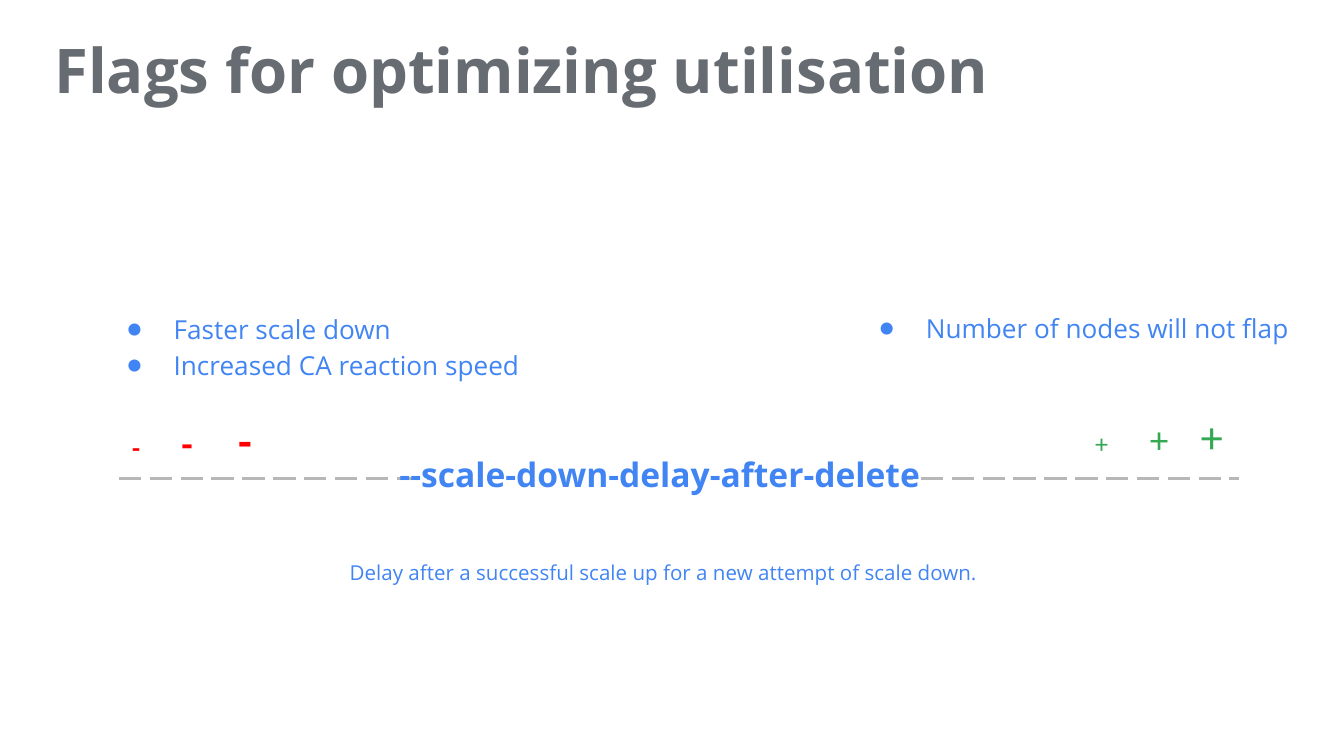
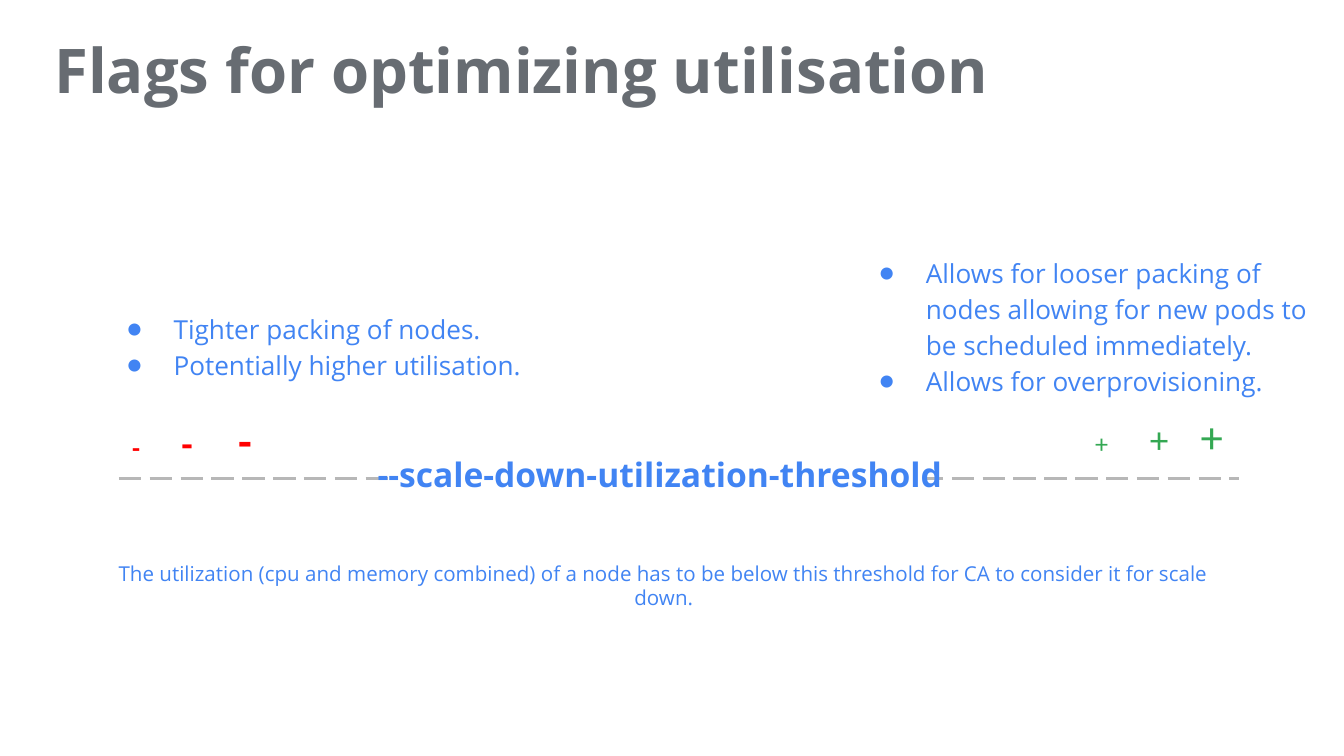
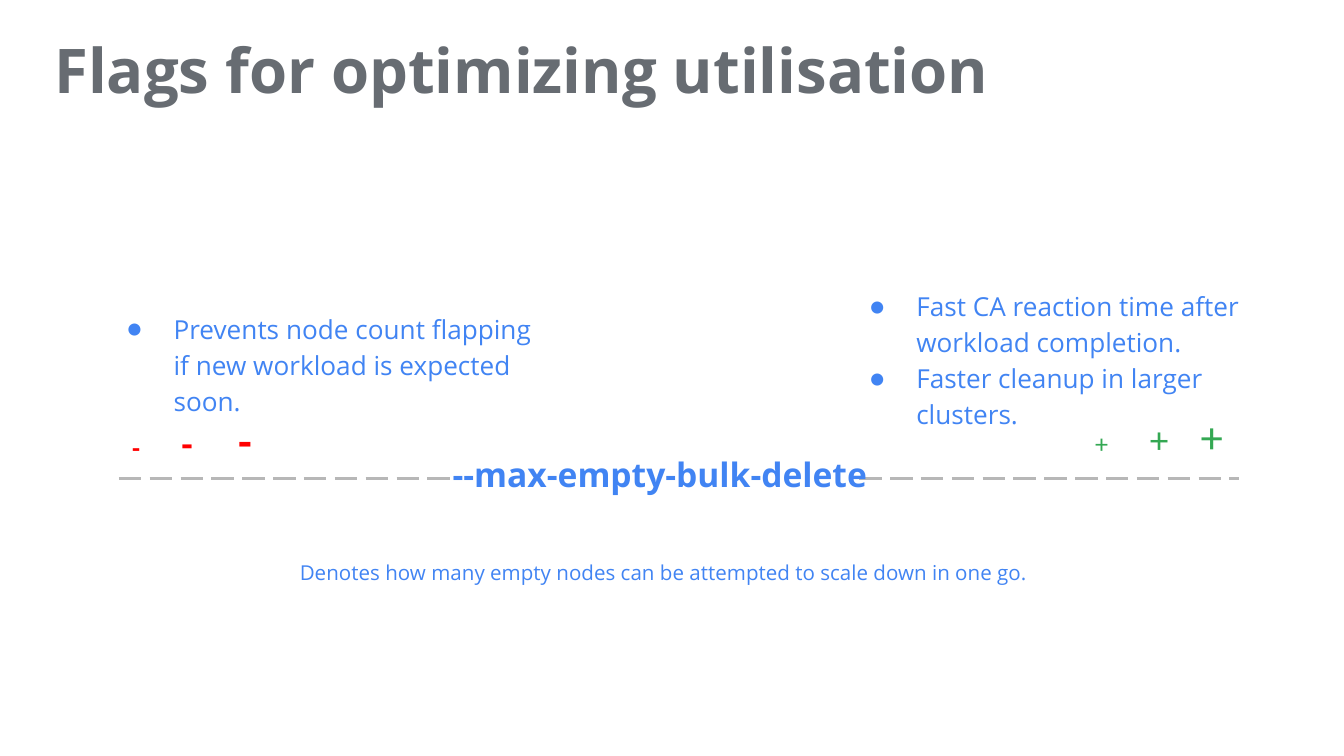
from lxml.etree import SubElement
from pptx import Presentation
from pptx.dml.color import RGBColor
from pptx.enum.dml import MSO_LINE
from pptx.enum.shapes import MSO_CONNECTOR, MSO_SHAPE
from pptx.enum.text import MSO_ANCHOR, PP_ALIGN
from pptx.oxml.ns import qn
from pptx.util import Pt

BLUE = "4184F3"
GRAY = "676C72"
DASH_GRAY = "B7B7B7"
RED = "FF0000"
GREEN = "34A853"
WHITE = "FFFFFF"
BODY_FONT = "Open Sans"
MARK_FONT = "Calibri"
MARK_SIZES = [14, 20, 24]
AXIS_LEFT, AXIS_RIGHT, AXIS_TOP = 63.7, 664, 256.3

flags = [
    {
        "name": "--scale-down-delay-after-delete",
        "gap": (231.1, 253.4),
        "low": ["Faster scale down", "Increased CA reaction speed"],
        "high": ["Number of nodes will not flap"],
        "high_at": (452.9, 157.6),
        "meaning": "Delay after a successful scale up for a new attempt of scale down.",
    },
    {
        "name": "--scale-down-utilization-threshold",
        "gap": (211, 285.1),
        "low": ["Tighter packing of nodes.", "Potentially higher utilisation."],
        "high": [
            "Allows for looser packing of nodes allowing for new pods to be scheduled immediately.",
            "Allows for overprovisioning.",
        ],
        "high_at": (452.9, 128.1),
        "meaning": "The utilization (cpu and memory combined) of a node has to be below "
                   "this threshold for CA to consider it for scale down.",
    },
    {
        "name": "--max-empty-bulk-delete",
        "gap": (245.5, 213.1),
        "low": ["Prevents node count flapping if new workload is expected soon."],
        "high": [
            "Fast CA reaction time after workload completion.",
            "Faster cleanup in larger clusters.",
        ],
        "high_at": (447.8, 146),
        "meaning": "Denotes how many empty nodes can be attempted to scale down in one go.",
    },
]


def color(value):
    return RGBColor.from_string(value)


def add_text(slide, box, paragraphs, sizes, fill, font=BODY_FONT, bold=False,
             align=PP_ALIGN.LEFT, spacing=1.0, inset=(7.2, 7.2),
             anchor=MSO_ANCHOR.TOP, bullets=False, tabs=()):
    shape = slide.shapes.add_textbox(*[Pt(length) for length in box])
    frame = shape.text_frame
    frame.word_wrap = True
    frame.vertical_anchor = anchor
    frame.margin_left = frame.margin_right = Pt(inset[0])
    frame.margin_top = frame.margin_bottom = Pt(inset[1])
    for index, texts in enumerate(paragraphs):
        paragraph = frame.paragraphs[0] if index == 0 else frame.add_paragraph()
        paragraph.alignment = align
        paragraph.line_spacing = spacing
        properties = paragraph._p.get_or_add_pPr()
        if bullets:
            properties.set("marL", str(Pt(36)))
            properties.set("indent", str(Pt(-25.2)))
            bullet_color = SubElement(properties, qn("a:buClr"))
            SubElement(bullet_color, qn("a:srgbClr"), val=fill)
            SubElement(properties, qn("a:buFont"), typeface=MARK_FONT)
            SubElement(properties, qn("a:buChar"), char="●")
        if tabs:
            tab_list = SubElement(properties, qn("a:tabLst"))
            for position in tabs:
                SubElement(tab_list, qn("a:tab"), pos=str(Pt(position)), algn="l")
        for text, size in zip(texts, sizes):
            run = paragraph.add_run()
            run.text = text
            run.font.name = font
            run.font.size = Pt(size)
            run.font.bold = bold
            run.font.color.rgb = color(fill)


presentation = Presentation()
presentation.slide_width = Pt(720)
presentation.slide_height = Pt(405)

for flag in flags:
    slide = presentation.slides.add_slide(presentation.slide_layouts[6])

    axis = slide.shapes.add_connector(
        MSO_CONNECTOR.STRAIGHT, Pt(AXIS_LEFT), Pt(AXIS_TOP), Pt(AXIS_RIGHT), Pt(AXIS_TOP))
    axis.line.color.rgb = color(DASH_GRAY)
    axis.line.width = Pt(1.5)
    axis.line.dash_style = MSO_LINE.LONG_DASH
    SubElement(axis._element.spPr, qn("a:effectLst"))

    add_text(slide, (24.1, 0, 620.6, 78.5), [["Flags for optimizing utilisation"]],
             [33], GRAY, bold=True, spacing=0.9, inset=(5, 2.9), anchor=MSO_ANCHOR.MIDDLE)

    gap_left, gap_width = flag["gap"]
    gap = slide.shapes.add_shape(
        MSO_SHAPE.RECTANGLE, Pt(gap_left), Pt(246.3), Pt(gap_width), Pt(19.4))
    gap.shadow.inherit = False
    gap.fill.solid()
    gap.fill.fore_color.rgb = color(WHITE)
    gap.line.color.rgb = color(WHITE)
    gap.line.width = Pt(0.75)

    add_text(slide, (23.8, 236.1, 659.5, 39), [[flag["name"]]], [18], BLUE,
             bold=True, align=PP_ALIGN.CENTER)
    add_text(slide, (579.6, 211.7, 103, 25.2), [["+", "\t+", "\t+"]], MARK_SIZES, GREEN,
             font=MARK_FONT, tabs=(29.3, 56.5))
    add_text(slide, (AXIS_LEFT, 213.8, 118.1, 25.2), [["-", "\t-", "\t-"]], MARK_SIZES, RED,
             font=MARK_FONT, bold=True, tabs=(26.4, 56.8))
    for items, box in [(flag["high"], (*flag["high_at"], 258.5, 128.2)),
                       (flag["low"], (49.9, 158, 253.4, 104.4))]:
        add_text(slide, box, [[item] for item in items], [14], BLUE,
                 spacing=1.15, bullets=True)
    add_text(slide, (55.4, 293.2, 600.5, 78.5), [[flag["meaning"]]], [11], BLUE,
             align=PP_ALIGN.CENTER)

presentation.save("out.pptx")
